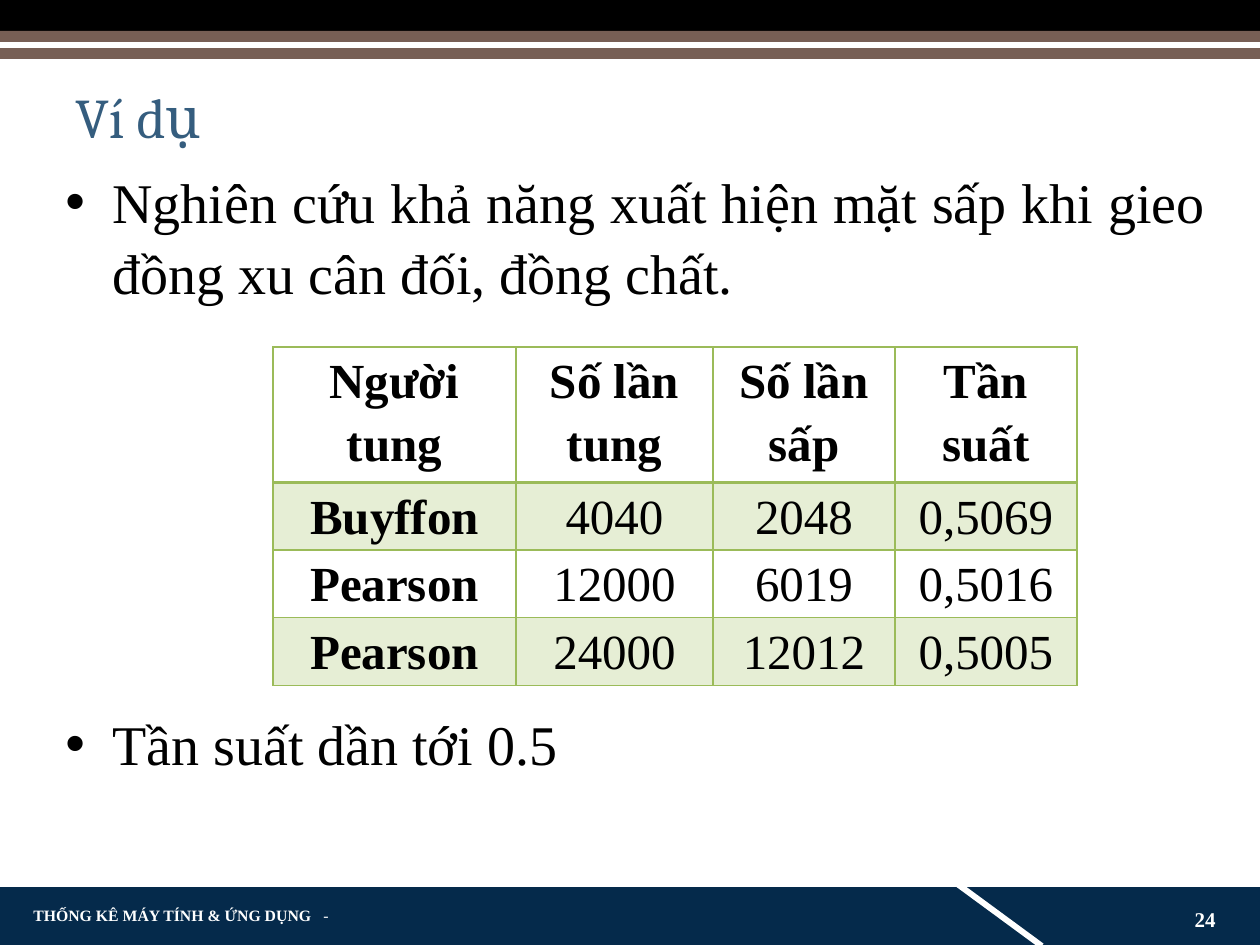
from lxml import etree
from pptx import Presentation
from pptx.dml.color import RGBColor
from pptx.enum.shapes import MSO_SHAPE
from pptx.enum.text import MSO_ANCHOR, PP_ALIGN
from pptx.oxml.ns import qn
from pptx.util import Pt

PX = 7257.14  # EMU per px, 126 px to the inch
RECT = MSO_SHAPE.RECTANGLE
TOP, MIDDLE = MSO_ANCHOR.TOP, MSO_ANCHOR.MIDDLE
LEFT, CENTER, RIGHT, JUSTIFY = PP_ALIGN.LEFT, PP_ALIGN.CENTER, PP_ALIGN.RIGHT, PP_ALIGN.JUSTIFY
SERIF = "Times New Roman"
NAVY = RGBColor(0x05, 0x2A, 0x4B)
WHITE = RGBColor(0xFF, 0xFF, 0xFF)
BLACK = RGBColor(0, 0, 0)
BROWN = RGBColor(0x77, 0x5F, 0x55)
BLUE = RGBColor(0x35, 0x5D, 0x7E)
GREEN = RGBColor(0x9B, 0xBB, 0x59)
PALE_GREEN = RGBColor(0xE6, 0xEE, 0xD5)


def px(*lengths):
    return [round(length * PX) for length in lengths]


def add_text(box, lines, size, color, font=SERIF, bold=False, align=LEFT, anchor=TOP):
    frame = slide.shapes.add_textbox(*px(*box)).text_frame
    frame.word_wrap = True
    frame.vertical_anchor = anchor
    frame.text = "\n".join(lines)
    for paragraph in frame.paragraphs:
        paragraph.alignment = align
        paragraph.font.size = Pt(size)
        paragraph.font.name = font
        paragraph.font.bold = bold
        paragraph.font.color.rgb = color
    return frame.paragraphs


prs = Presentation()
prs.slide_width, prs.slide_height = px(1260, 945)
slide = prs.slides.add_slide(prs.slide_layouts[6])

# Footer band with its slanted stripe, and the header bands
for box, color, angle in [
    ((0, 887, 1260, 58), NAVY, 0),
    ((947, 912, 105, 6), WHITE, 36.3),
    ((0, 0, 1260, 31), BLACK, 0),
    ((0, 31, 1260, 28), BROWN, 0),
    ((0, 42, 1260, 6), WHITE, 0),
]:
    band = slide.shapes.add_shape(RECT, *px(*box))
    band.shadow.inherit = False
    band.fill.solid()
    band.fill.fore_color.rgb = color
    band.line.fill.background()
    band.rotation = angle

# Footer text: course name, then a dash at a tab stop
course = add_text((21, 903, 325, 25), ["THỐNG KÊ MÁY TÍNH & ỨNG DỤNG"], 9, WHITE,
                  bold=True, anchor=MIDDLE)[0]
dash = course.add_run()
dash.text = "\t-"
dash.font.bold = False
tabs = etree.SubElement(course._p.get_or_add_pPr(), qn("a:tabLst"))
etree.SubElement(tabs, qn("a:tab"), pos=str(px(290)[0]), algn="l")
course._p.pPr.insert(0, tabs)
add_text((1131, 903, 97, 32), ["24"], 12, WHITE, bold=True, align=RIGHT, anchor=MIDDLE)

# Title
title = add_text((63, 84, 1140, 129), ["Ví dụ"], 32, BLUE, font="Cambria")[0]
title.line_spacing = 0.9

# Bulleted statements above and below the table
statements = add_text((53, 158, 1166, 714), [
    "Nghiên cứu khả năng xuất hiện mặt sấp khi gieo đồng xu cân đối, đồng chất.",
    "Tần suất dần tới 0.5",
], 32, BLACK, align=JUSTIFY)
statements[1].space_before = Pt(229)
for statement in statements:
    statement.line_spacing = 1.05
    props = statement._p.get_or_add_pPr()
    indent = px(47)[0]
    props.set("marL", str(indent))
    props.set("indent", str(-indent))
    bullet_font = etree.Element(qn("a:buFont"), typeface="Arial")
    bullet = etree.Element(qn("a:buChar"), char="•")
    props.find(qn("a:defRPr")).addprevious(bullet_font)
    bullet_font.addnext(bullet)

# Table of coin-toss experiments
experiments = [
    ("Người tung", "Số lần tung", "Số lần sấp", "Tần suất"),
    ("Buyffon", "4040", "2048", "0,5069"),
    ("Pearson", "12000", "6019", "0,5016"),
    ("Pearson", "24000", "12012", "0,5005"),
]
widths, heights = (243, 197, 182, 182), (128, 64, 64, 64)
table = slide.shapes.add_table(4, 4, *px(273, 347, sum(widths), sum(heights))).table
table.first_row = table.horz_banding = False
for column, width in zip(table.columns, px(*widths)):
    column.width = width
for row, height in zip(table.rows, px(*heights)):
    row.height = height

for r, values in enumerate(experiments):
    for c, value in enumerate(values):
        cell = table.cell(r, c)
        cell.margin_left = cell.margin_right = px(9)[0]
        cell.margin_top = cell.margin_bottom = 0
        cell.text = value
        entry = cell.text_frame.paragraphs[0]
        entry.alignment = CENTER
        entry.line_spacing = 1.15
        entry.font.size = Pt(28)
        entry.font.name = SERIF
        entry.font.bold = r == 0 or c == 0
        entry.font.color.rgb = BLACK

        # Green grid, heavier under the header row
        cell_props = cell._tc.get_or_add_tcPr()
        for side in ("L", "R", "T", "B"):
            heavy = (r, side) in ((0, "B"), (1, "T"))
            edge = etree.SubElement(cell_props, qn("a:ln" + side), w=str(Pt(2.25 if heavy else 1)))
            paint = etree.SubElement(edge, qn("a:solidFill"))
            etree.SubElement(paint, qn("a:srgbClr"), val=str(GREEN))
        if r % 2:
            cell.fill.solid()
            cell.fill.fore_color.rgb = PALE_GREEN
        else:
            cell.fill.background()

prs.save("out.pptx")
